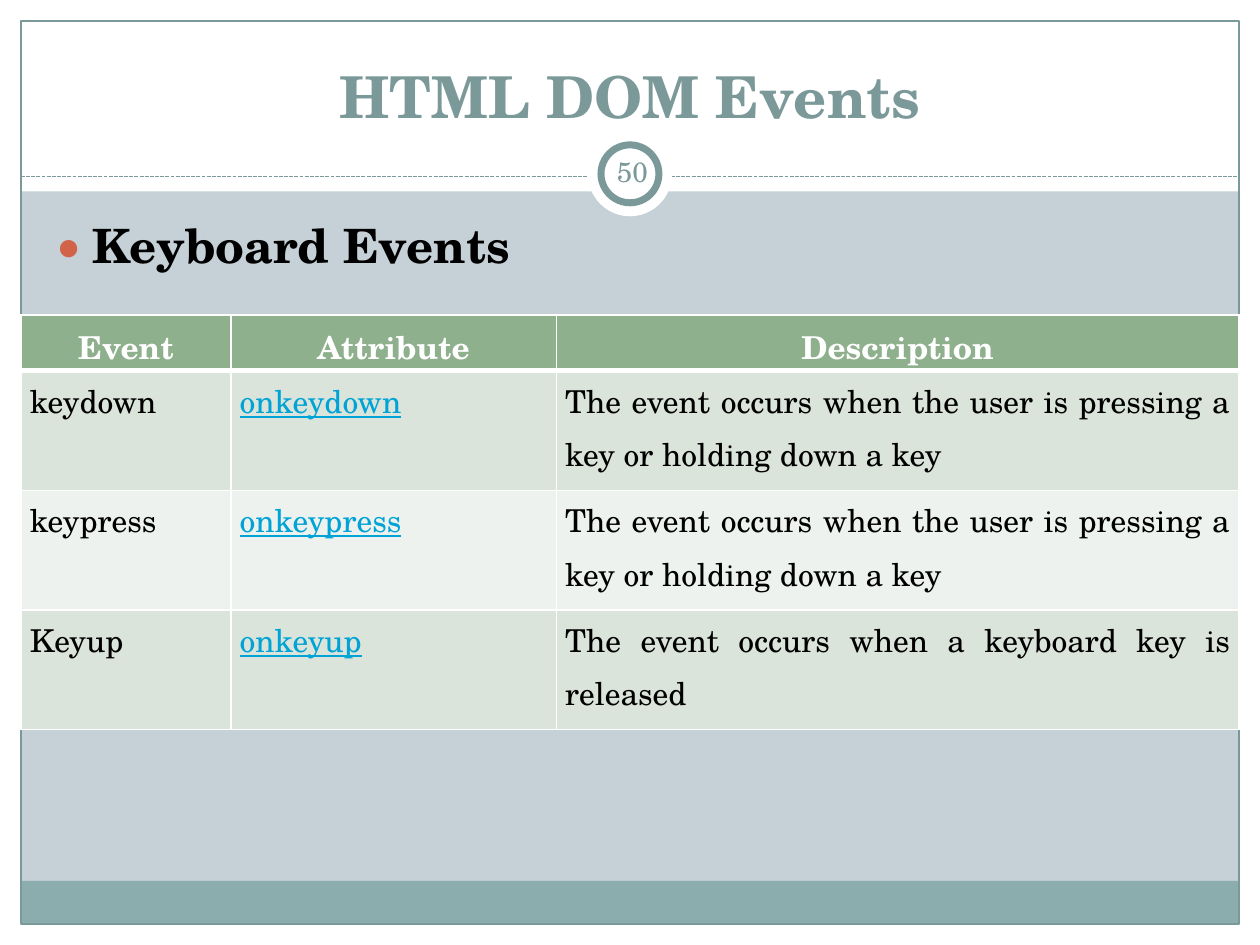
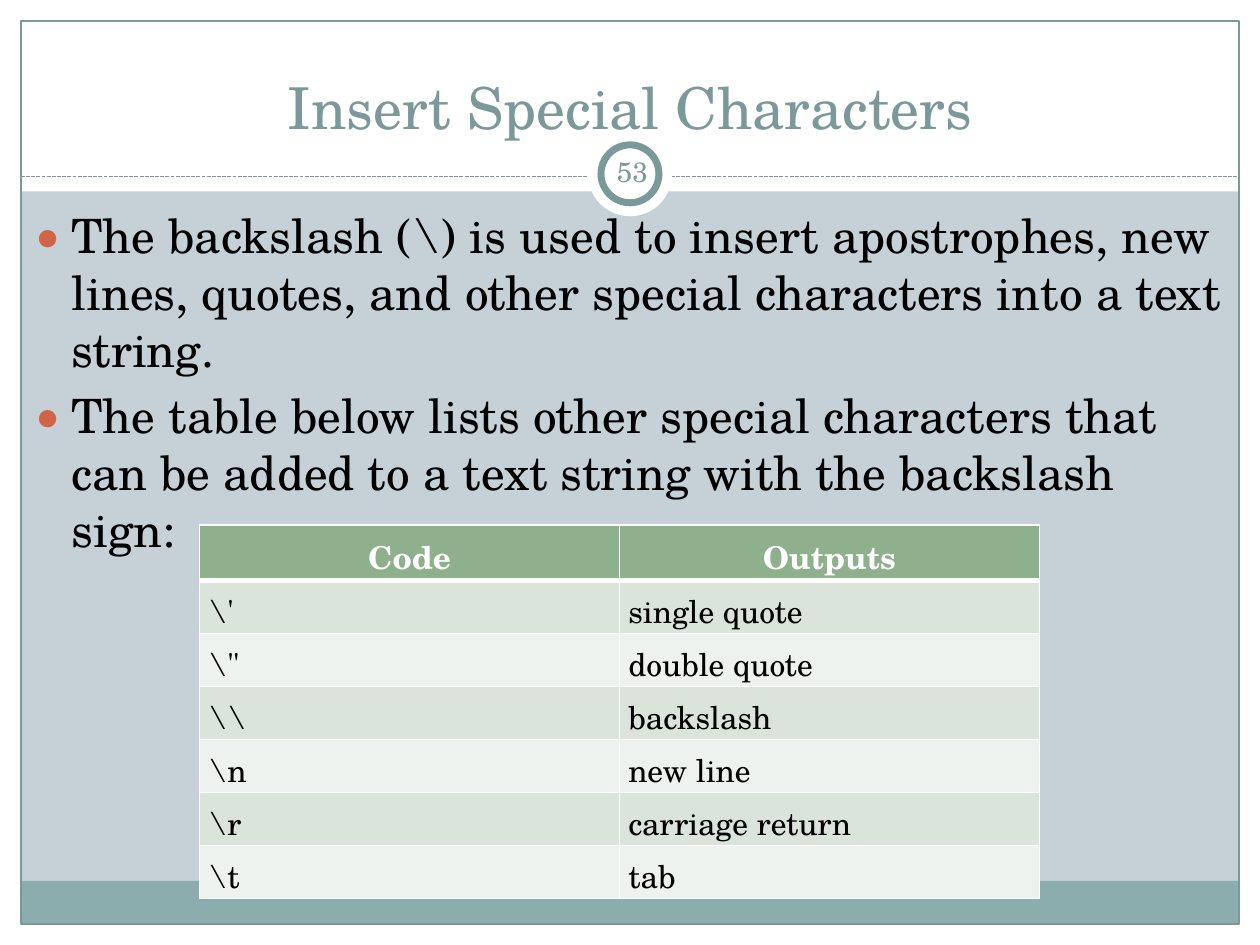
from dataclasses import dataclass, field
from typing import Any, Optional

from lxml import etree
from pptx import Presentation, util as u
from pptx.dml.color import RGBColor
from pptx.enum import dml, shapes, text
from pptx.oxml.ns import qn

COLUMNS, ROWS = 120, 90
WIDTH, HEIGHT = u.Inches(10), u.Inches(7.5)


@dataclass(frozen=True)
class Theme:
    font: str = "TeX Gyre Schola"
    background: str = "C5D1D7"
    white: str = "FFFFFF"
    black: str = "000000"
    accent: str = "7C999A"
    footer: str = "8CADAE"
    bullet: str = "D16349"
    link: str = "00A3D6"
    header: str = "8FB08C"
    stripes: tuple[str, str] = ("DBE4DA", "EEF2EE")
    title_size: float = 33
    body_size: float = 27
    body_leading: float = 32.5
    table_size: float = 18
    number_size: float = 16


THEME = Theme()


@dataclass(frozen=True)
class Box:
    left: float
    top: float
    width: float
    height: float

    def lengths(self) -> tuple[int, int, int, int]:
        return across(self.left), down(self.top), across(self.width), down(self.height)


@dataclass(frozen=True)
class Panel:
    kind: shapes.MSO_SHAPE
    box: Box
    fill: Optional[str] = None
    line: Optional[str] = None
    weight: float = 0.75


@dataclass(frozen=True)
class TableSpec:
    left: float
    top: float
    columns: tuple[float, ...]
    header_height: float
    row_height: float
    cells: tuple[tuple[str, ...], ...]
    link_column: Optional[int] = None


@dataclass(frozen=True)
class Page:
    number: str
    title: str
    title_box: Box
    bullets: tuple[str, ...]
    body_box: Box
    table: TableSpec
    emphasis: dict[str, Any] = field(default_factory=dict)


RECTANGLE, OVAL = shapes.MSO_SHAPE.RECTANGLE, shapes.MSO_SHAPE.OVAL
MARGIN = 2
INNER_WIDTH, INNER_HEIGHT = COLUMNS - 2 * MARGIN, ROWS - 2 * MARGIN
RULE_ROW = 16.8

BANDS = (
    Panel(RECTANGLE, Box(0, ROWS - MARGIN, COLUMNS, MARGIN), THEME.white),
    Panel(RECTANGLE, Box(0, 0, COLUMNS, 18.24), THEME.white),
    Panel(RECTANGLE, Box(0, 0, MARGIN, ROWS), THEME.white),
    Panel(RECTANGLE, Box(COLUMNS - MARGIN, 0, MARGIN, ROWS), THEME.white),
    Panel(RECTANGLE, Box(MARGIN, 83.9, INNER_WIDTH, 4.1), THEME.footer),
    Panel(RECTANGLE, Box(MARGIN, MARGIN, INNER_WIDTH, INNER_HEIGHT), line=THEME.accent),
)
BADGE = (
    Panel(OVAL, Box(56, 12.6, 8, 8), THEME.white),
    Panel(OVAL, Box(57.24, 13.8, 5.52, 5.52), THEME.white, THEME.accent, 4),
)
NUMBER_BOX = Box(57.24, 13.44, 6, 5.76)

PAGES = (
    Page(
        "50", "HTML DOM Events", Box(4, 3, 112, 10),
        ("Keyboard Events",), Box(4, 20, 111.6, 60),
        TableSpec(
            MARGIN, 30, (20, 31, 65), 5.3, 11.4,
            (
                ("Event", "Attribute", "Description"),
                ("keydown", "onkeydown",
                 "The event occurs when the user is pressing a key or holding down a key"),
                ("keypress", "onkeypress",
                 "The event occurs when the user is pressing a key or holding down a key"),
                ("Keyup", "onkeyup", "The event occurs when a keyboard key is released"),
            ),
            link_column=1,
        ),
        {"bold": True},
    ),
    Page(
        "53", "Insert Special Characters", Box(4, 4, 112, 10),
        (
            "The backslash (\\) is used to insert apostrophes, new lines, quotes, "
            "and other special characters into a text string.",
            "The table below lists other special characters that can be added "
            "to a text string with the backslash sign:",
        ),
        Box(MARGIN, 19, INNER_WIDTH, 62),
        TableSpec(
            19, 50, (40, 40), 5.3, 5.05,
            (
                ("Code", "Outputs"),
                ("\\'", "single quote"),
                ('\\"', "double quote"),
                ("\\\\", "backslash"),
                ("\\n", "new line"),
                ("\\r", "carriage return"),
                ("\\t", "tab"),
            ),
        ),
    ),
)


def across(columns: float) -> int:
    return round(WIDTH * columns / COLUMNS)


def down(rows: float) -> int:
    return round(HEIGHT * rows / ROWS)


def assign(target: Any, values: dict[str, Any]) -> None:
    for name, value in values.items():
        setattr(target, name, value)


def place(shape: Any, box: Box) -> None:
    assign(shape, dict(zip(("left", "top", "width", "height"), box.lengths())))


def write(paragraph: Any, content: str, size: float, color: str, **style: Any) -> None:
    run = paragraph.add_run()
    run.text = content
    assign(run.font, {"name": THEME.font, "size": u.Pt(size), "bold": False, **style})
    run.font.color.rgb = RGBColor.from_string(color)


def add_panel(slide: Any, panel: Panel) -> Any:
    shape = slide.shapes.add_shape(panel.kind, *panel.box.lengths())
    shape.shadow.inherit = False
    if panel.fill:
        shape.fill.solid()
        shape.fill.fore_color.rgb = RGBColor.from_string(panel.fill)
    else:
        shape.fill.background()
    if panel.line:
        shape.line.color.rgb = RGBColor.from_string(panel.line)
        shape.line.width = u.Pt(panel.weight)
    else:
        shape.line.fill.background()
    return shape


def add_rule(slide: Any) -> Any:
    rule = slide.shapes.add_connector(
        shapes.MSO_CONNECTOR.STRAIGHT,
        across(MARGIN), down(RULE_ROW), across(COLUMNS - MARGIN), down(RULE_ROW),
    )
    rule.line.color.rgb = RGBColor.from_string(THEME.accent)
    assign(rule.line, {"width": u.Pt(0.75), "dash_style": dml.MSO_LINE.SQUARE_DOT})
    etree.SubElement(rule._element.spPr, qn("a:effectLst"))
    return rule


def build_frame(layout: Any, slide: Any) -> None:
    parts = [add_panel(slide, panel) for panel in BANDS]
    parts.append(add_rule(slide))
    parts.extend(add_panel(slide, panel) for panel in BADGE)
    for index, part in enumerate(parts, start=2):
        layout.shapes._spTree.insert(index, part._element)


def fill_title(shape: Any, page: Page) -> None:
    place(shape, page.title_box)
    assign(shape.text_frame, {
        "auto_size": text.MSO_AUTO_SIZE.NONE, "word_wrap": True,
        "vertical_anchor": text.MSO_ANCHOR.BOTTOM,
    })
    paragraph = shape.text_frame.paragraphs[0]
    paragraph.alignment = text.PP_ALIGN.CENTER
    write(paragraph, page.title, THEME.title_size, THEME.accent, **page.emphasis)


def add_bullet(paragraph: Any) -> None:
    properties = paragraph._p.get_or_add_pPr()
    indent = u.Inches(0.3)
    properties.set("marL", str(indent))
    properties.set("indent", str(-indent))
    color = etree.SubElement(properties, qn("a:buClr"))
    etree.SubElement(color, qn("a:srgbClr"), val=THEME.bullet)
    etree.SubElement(properties, qn("a:buSzPct"), val="85000")
    etree.SubElement(properties, qn("a:buFont"), typeface=THEME.font)
    etree.SubElement(properties, qn("a:buChar"), char="●")


def fill_body(shape: Any, page: Page) -> None:
    place(shape, page.body_box)
    frame = shape.text_frame
    assign(frame, {"auto_size": text.MSO_AUTO_SIZE.NONE, "word_wrap": True})
    for index, content in enumerate(page.bullets):
        paragraph = frame.add_paragraph() if index else frame.paragraphs[0]
        assign(paragraph, {
            "alignment": text.PP_ALIGN.LEFT,
            "line_spacing": u.Pt(THEME.body_leading),
            "space_before": u.Pt(0.2 * THEME.body_size),
        })
        add_bullet(paragraph)
        write(paragraph, content, THEME.body_size, THEME.black, **page.emphasis)


def add_number(slide: Any, number: str) -> None:
    frame = slide.shapes.add_textbox(*NUMBER_BOX.lengths()).text_frame
    sides = ("margin_left", "margin_top", "margin_right", "margin_bottom")
    assign(frame, dict.fromkeys(sides, u.Inches(0.05)))
    assign(frame, {"word_wrap": True, "vertical_anchor": text.MSO_ANCHOR.MIDDLE})
    frame.paragraphs[0].alignment = text.PP_ALIGN.CENTER
    write(frame.paragraphs[0], number, THEME.number_size, THEME.accent)


def set_borders(cell: Any, row: int) -> None:
    properties = cell._tc.get_or_add_tcPr()
    weights = {"L": 1, "R": 1, "T": 3 if row == 1 else 1, "B": 3 if row == 0 else 1}
    for side, weight in weights.items():
        line = etree.SubElement(properties, qn(f"a:ln{side}"), w=str(u.Pt(weight)))
        fill = etree.SubElement(line, qn("a:solidFill"))
        etree.SubElement(fill, qn("a:srgbClr"), val=THEME.white)


def fill_cell(cell: Any, content: str, row: int, linked: bool) -> None:
    header = row == 0
    set_borders(cell, row)
    cell.fill.solid()
    cell.fill.fore_color.rgb = RGBColor.from_string(
        THEME.header if header else THEME.stripes[(row - 1) % 2]
    )
    inset = u.Inches(0.07)
    assign(cell, {"margin_left": inset, "margin_right": inset,
                  "margin_top": 0, "margin_bottom": 0})
    paragraph = cell.text_frame.paragraphs[0]
    align = text.PP_ALIGN.CENTER if header else text.PP_ALIGN.JUSTIFY
    assign(paragraph, {"alignment": align, "line_spacing": 1.15})
    linked = linked and not header
    color = THEME.white if header else THEME.link if linked else THEME.black
    write(paragraph, content, THEME.table_size, color, bold=header, underline=linked)


def add_table(slide: Any, spec: TableSpec) -> None:
    count = len(spec.cells)
    height = spec.header_height + (count - 1) * spec.row_height
    box = Box(spec.left, spec.top, sum(spec.columns), height)
    table = slide.shapes.add_table(count, len(spec.columns), *box.lengths()).table
    for column, width in zip(table.columns, spec.columns):
        column.width = across(width)
    for row, contents in enumerate(spec.cells):
        table.rows[row].height = down(spec.row_height if row else spec.header_height)
        for column, content in enumerate(contents):
            fill_cell(table.cell(row, column), content, row, column == spec.link_column)


def main() -> None:
    presentation = Presentation()
    assign(presentation, {"slide_width": WIDTH, "slide_height": HEIGHT})
    background = presentation.slide_master.background.fill
    background.solid()
    background.fore_color.rgb = RGBColor.from_string(THEME.background)
    layout = presentation.slide_layouts[1]
    for index, page in enumerate(PAGES):
        slide = presentation.slides.add_slide(layout)
        if index == 0:
            build_frame(layout, slide)
        fill_title(slide.shapes.title, page)
        fill_body(slide.placeholders[1], page)
        add_number(slide, page.number)
        add_table(slide, page.table)
    presentation.save("out.pptx")


main()
